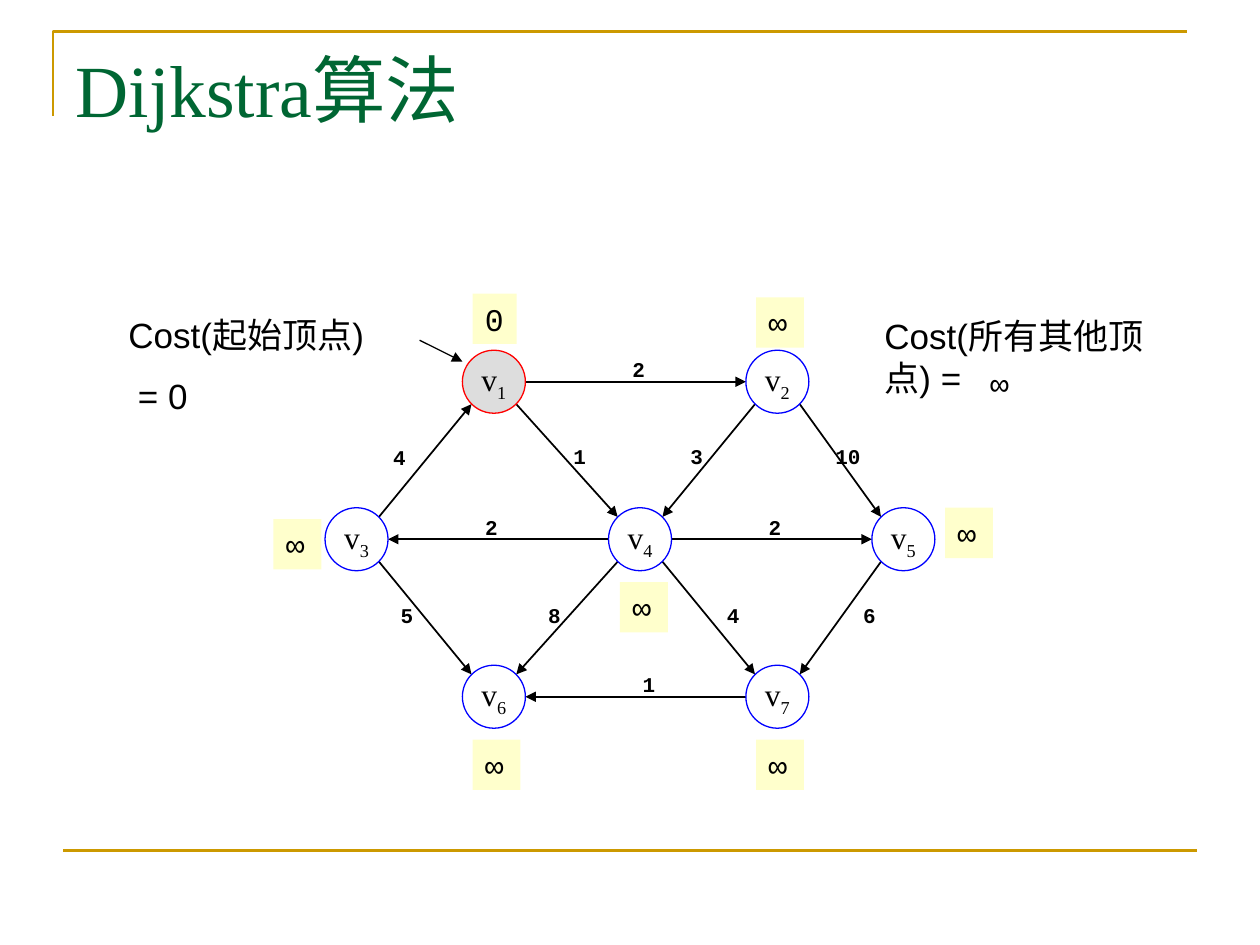
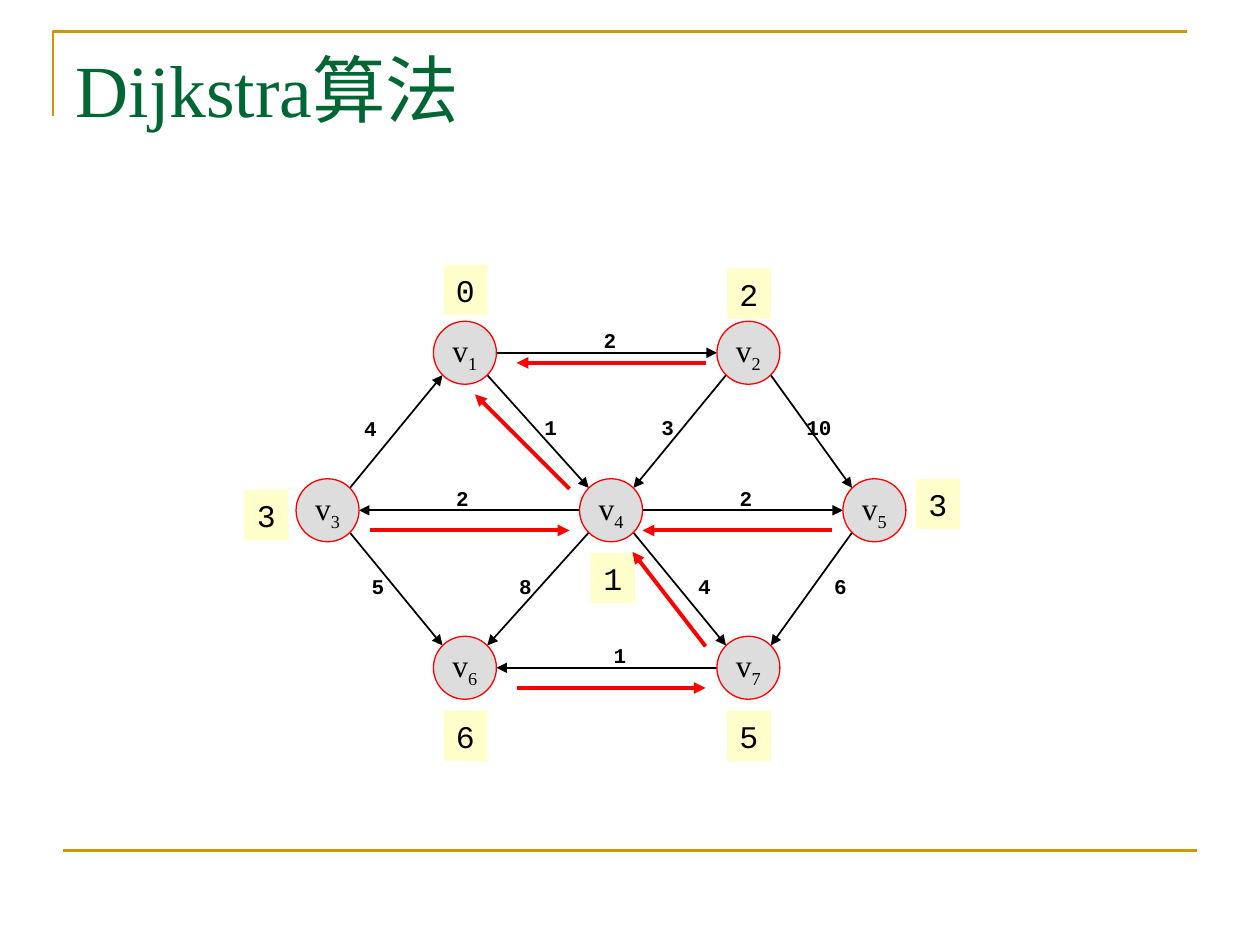
"""Build two slides on Dijkstra's algorithm: the initial costs and the final costs."""
from lxml import etree
from pptx import Presentation
from pptx import util as u
from pptx.dml.color import RGBColor
from pptx.enum import shapes, text
from pptx.oxml.ns import qn

TITLE = "Dijkstra算法"
VERTICES = {
    "1": (0, 0), "2": (2.25, 0), "3": (-1.09, 1.25), "4": (1.16, 1.25),
    "5": (3.25, 1.25), "6": (0, 2.5), "7": (2.25, 2.5),
}
EDGES = [
    ("1", "2", "2", (1.15, -0.1)), ("1", "4", "1", (0.68, 0.59)),
    ("2", "4", "3", (1.61, 0.59)), ("2", "5", "10", (2.81, 0.59)),
    ("3", "1", "4", (-0.75, 0.6)), ("3", "6", "5", (-0.69, 1.85)),
    ("4", "3", "2", (-0.02, 1.15)), ("4", "5", "2", (2.23, 1.15)),
    ("4", "6", "8", (0.48, 1.85)), ("4", "7", "4", (1.9, 1.85)),
    ("5", "7", "6", (2.98, 1.85)), ("7", "6", "1", (1.23, 2.4)),
]
COST_PLACES = {
    "1": (-0.17, -0.7), "2": (2.08, -0.67), "3": (-1.75, 1.09), "4": (1, 1.59),
    "5": (3.58, 1), "6": (-0.17, 2.84), "7": (2.08, 2.84),
}
INITIAL = {"origin": (3.92, 3.03), "costs": "0∞∞∞∞∞∞", "visited": "1"}
FINAL = {"origin": (3.69, 2.8), "costs": "0231365", "visited": "1234567"}
PREDECESSOR_ARROWS = [
    ((0.83, 1.08), (0.08, 0.33)), ((1.91, 0.08), (0.41, 0.08)),
    ((2.91, 1.41), (1.41, 1.41)), ((1.91, 2.33), (1.33, 1.58)),
    ((0.41, 2.66), (1.91, 2.66)), ((-0.75, 1.41), (0.83, 1.41)),
]
START_NOTE = ["Cost(起始顶点)", " = 0"]
OTHERS_NOTE = ["Cost(所有其他顶点) ="]

BLACK = RGBColor(0, 0, 0)
RED = RGBColor(0xFF, 0, 0)
BLUE = RGBColor(0, 0, 0xFF)
GOLD = RGBColor(0xCC, 0x99, 0)
GREEN = RGBColor(0, 0x66, 0x33)
GREY = RGBColor(0xDD, 0xDD, 0xDD)
CREAM = RGBColor(0xFF, 0xFF, 0xCC)
SERIF, SANS, MONO = "Times New Roman", "Arial", "Courier New"
RADIUS = 0.25
DIAGONAL = 0.71


def shift(origin, offset):
    return origin[0] + offset[0], origin[1] + offset[1]


def inches(*lengths):
    return [u.Inches(length) for length in lengths]


def add_run(paragraph, words, font, size, color=BLACK, bold=False):
    run = paragraph.add_run()
    run.text = words
    run.font.name, run.font.size, run.font.bold = font, u.Pt(size), bold
    run.font.color.rgb = color
    return run


def add_line(slide, start, end, color=BLACK, width=1, arrow=True):
    line = slide.shapes.add_connector(shapes.MSO_CONNECTOR.STRAIGHT, *inches(*start, *end))
    line.line.color.rgb, line.line.width = color, u.Pt(width)
    if arrow:
        etree.SubElement(line.line._get_or_add_ln(), qn("a:tailEnd"), type="triangle")
    etree.SubElement(line._element.spPr, qn("a:effectLst"))


def add_words(slide, box, lines, font, size, wrap=False, center=False, bold=False):
    frame = slide.shapes.add_textbox(*inches(*box)).text_frame
    frame.word_wrap = wrap
    if center:
        frame.vertical_anchor = text.MSO_ANCHOR.MIDDLE
    for number, words in enumerate(lines):
        paragraph = frame.add_paragraph() if number else frame.paragraphs[0]
        if number:
            paragraph.space_before = u.Pt(size * 0.55)
        if center:
            paragraph.alignment = text.PP_ALIGN.CENTER
        add_run(paragraph, words, font, size, bold=bold)


def add_filled(slide, kind, box, fill, outline, align):
    shape = slide.shapes.add_shape(kind, *inches(*box))
    shape.shadow.inherit = False
    if fill is None:
        shape.fill.background()
    else:
        shape.fill.solid()
        shape.fill.fore_color.rgb = fill
    if outline is None:
        shape.line.fill.background()
    else:
        shape.line.color.rgb, shape.line.width = outline, u.Pt(0.75)
    shape.text_frame.word_wrap = False
    paragraph = shape.text_frame.paragraphs[0]
    paragraph.alignment = align
    return shape, paragraph


def add_vertex(slide, number, center, visited):
    box = (*shift(center, (-RADIUS, -RADIUS)), 2 * RADIUS, 2 * RADIUS)
    fill, outline = (GREY, RED) if visited else (None, BLUE)
    circle, paragraph = add_filled(slide, shapes.MSO_SHAPE.OVAL, box, fill, outline,
                                   text.PP_ALIGN.CENTER)
    circle.text_frame.vertical_anchor = text.MSO_ANCHOR.MIDDLE
    add_run(paragraph, "v", SERIF, 18)
    subscript = add_run(paragraph, number, SERIF, 18)
    subscript._r.get_or_add_rPr().set("baseline", "-25000")


def add_cost(slide, cost, corner):
    box = (*corner, 0.38 if cost == "∞" else 0.35, 0.4)
    badge, paragraph = add_filled(slide, shapes.MSO_SHAPE.RECTANGLE, box, CREAM, None,
                                  text.PP_ALIGN.LEFT)
    badge.text_frame.vertical_anchor = text.MSO_ANCHOR.TOP
    add_run(paragraph, cost, MONO, 18)


def rim_offset(source, target):
    dx, dy = (b - a for a, b in zip(VERTICES[source], VERTICES[target]))
    reach = RADIUS * (DIAGONAL if dy else 1)
    return (reach if dx > 0 else -reach), (dy > 0) * reach - (dy < 0) * reach


def add_graph(slide, origin, costs, visited):
    for source, target, weight, middle in EDGES:
        start = shift(VERTICES[source], rim_offset(source, target))
        end = shift(VERTICES[target], rim_offset(target, source))
        add_line(slide, shift(origin, start), shift(origin, end))
        width = 0.2 + 0.1 * len(weight)
        corner = shift(shift(origin, middle), (-width / 2, -0.15))
        add_words(slide, (*corner, width, 0.3), [weight], MONO, 12, center=True, bold=True)
    for (number, center), cost in zip(VERTICES.items(), costs):
        add_vertex(slide, number, shift(origin, center), number in visited)
        add_cost(slide, cost, shift(origin, COST_PLACES[number]))


def add_framed_slide(deck):
    slide = deck.slides.add_slide(deck.slide_layouts[5])
    corner = slide.shapes.build_freeform(*inches(0.42, 0.92), scale=1.0)
    corner.add_line_segments([inches(0.42, 0.25), inches(9.42, 0.25)], close=False)
    bracket = corner.convert_to_shape()
    bracket.shadow.inherit = False
    bracket.fill.background()
    bracket.line.color.rgb, bracket.line.width = GOLD, u.Pt(1.5)
    add_line(slide, (0.5, 6.75), (9.5, 6.75), GOLD, 1.5, arrow=False)
    title = slide.shapes.title
    title.left, title.top, title.width, title.height = inches(0.5, 0.3, 9, 1.25)
    frame = title.text_frame
    frame.auto_size = text.MSO_AUTO_SIZE.NONE
    frame.vertical_anchor = text.MSO_ANCHOR.TOP
    frame.paragraphs[0].alignment = text.PP_ALIGN.LEFT
    add_run(frame.paragraphs[0], TITLE, SERIF, 42, GREEN)
    return slide


def main():
    deck = Presentation()
    deck.slide_width, deck.slide_height = inches(10, 7.5)

    initial = add_framed_slide(deck)
    add_graph(initial, **INITIAL)
    add_words(initial, (0.92, 2.44, 2.33, 0.93), START_NOTE, SANS, 20, wrap=True)
    add_line(initial, (3.33, 2.7), (3.67, 2.87), width=0.75)
    add_words(initial, (6.92, 2.45, 2.42, 0.77), OTHERS_NOTE, SANS, 20, wrap=True)
    add_words(initial, (7.76, 2.84, 0.38, 0.4), ["∞"], MONO, 18)

    final = add_framed_slide(deck)
    add_graph(final, **FINAL)
    for start, end in PREDECESSOR_ARROWS:
        add_line(final, shift(FINAL["origin"], start), shift(FINAL["origin"], end), RED, 2.25)

    deck.save("out.pptx")


if __name__ == "__main__":
    main()
